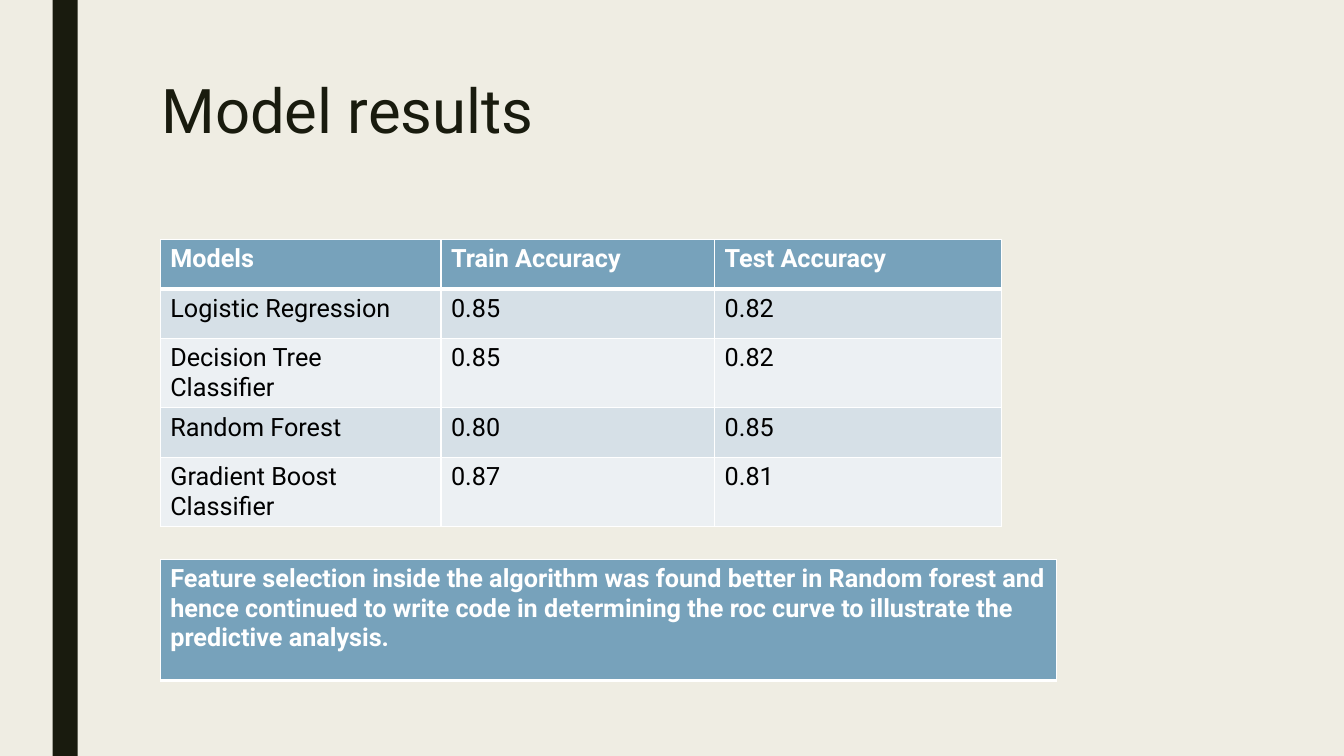
"""Build the model results slide with an accuracy table and a conclusion band."""
from dataclasses import dataclass

from lxml import etree
from pptx import Presentation
from pptx.dml.color import RGBColor
from pptx.enum.shapes import MSO_SHAPE
from pptx.enum.text import MSO_ANCHOR, MSO_AUTO_SIZE, PP_ALIGN
from pptx.oxml.ns import qn
from pptx.util import Pt

RECTANGLE = MSO_SHAPE.RECTANGLE
TOP = MSO_ANCHOR.TOP
NO_AUTOFIT = MSO_AUTO_SIZE.NONE
LEFT = PP_ALIGN.LEFT
TITLE_ONLY = 5


@dataclass(frozen=True)
class Theme:
    font: str = "Roboto"
    background: str = "EFEDE3"
    ink: str = "191B0E"
    accent: str = "77A2BB"
    bands: tuple[str, str] = ("D6E0E7", "ECF0F3")
    light: str = "FFFFFF"
    dark: str = "000000"
    title_size: float = 44
    table_size: float = 18
    thin: float = 1
    thick: float = 3


@dataclass(frozen=True)
class TableBlock:
    left: float
    top: float
    columns: tuple[float, ...]
    row_height: float
    rows: tuple[tuple[str, ...], ...]


THEME = Theme()
ACCURACY = TableBlock(
    114.5, 171, (200.5, 195.5, 205), 35.4,
    (
        ("Models", "Train Accuracy", "Test Accuracy"),
        ("Logistic Regression", "0.85", "0.82"),
        ("Decision Tree Classifier", "0.85", "0.82"),
        ("Random Forest", "0.80", "0.85"),
        ("Gradient Boost Classifier", "0.87", "0.81"),
    ),
)
CONCLUSION = TableBlock(
    114.5, 399.6, (640,), 86.4,
    ((
        "Feature selection inside the algorithm was found better in Random "
        "forest and hence continued to write code in determining the roc "
        "curve to illustrate the predictive analysis.",
    ),),
)


def add_span(para, text: str, size: float, color: str, bold: bool = False) -> None:
    span = para.add_run()
    span.text = text
    span.font.name = THEME.font
    span.font.size = Pt(size)
    span.font.bold = bold
    span.font.color.rgb = RGBColor.from_string(color)


def set_borders(cell, row_index: int) -> None:
    widths = {
        "a:lnL": THEME.thin,
        "a:lnR": THEME.thin,
        "a:lnT": THEME.thick if row_index == 1 else THEME.thin,
        "a:lnB": THEME.thick if row_index == 0 else THEME.thin,
    }
    properties = cell._tc.get_or_add_tcPr()
    for tag, width in widths.items():
        line = etree.SubElement(properties, qn(tag), w=str(Pt(width)))
        fill = etree.SubElement(line, qn("a:solidFill"))
        etree.SubElement(fill, qn("a:srgbClr"), val=THEME.light)


def add_table(page, block: TableBlock) -> None:
    frame = page.shapes.add_table(
        len(block.rows), len(block.columns), Pt(block.left), Pt(block.top),
        Pt(sum(block.columns)), Pt(block.row_height * len(block.rows)),
    )
    table = frame.table
    for column, width in zip(table.columns, block.columns):
        column.width = Pt(width)
    for row_index, texts in enumerate(block.rows):
        table.rows[row_index].height = Pt(block.row_height)
        is_header = row_index == 0
        fill = THEME.accent if is_header else THEME.bands[(row_index - 1) % 2]
        color = THEME.light if is_header else THEME.dark
        for column_index, text in enumerate(texts):
            cell = table.cell(row_index, column_index)
            set_borders(cell, row_index)
            cell.fill.solid()
            cell.fill.fore_color.rgb = RGBColor.from_string(fill)
            add_span(cell.text_frame.paragraphs[0], text, THEME.table_size, color, is_header)


def add_side_bar(page, height: int) -> None:
    bar = page.shapes.add_shape(RECTANGLE, Pt(37.5), Pt(0), Pt(18), height)
    bar.shadow.inherit = False
    bar.fill.solid()
    bar.fill.fore_color.rgb = RGBColor.from_string(THEME.ink)
    bar.line.fill.background()


def set_title(page, text: str) -> None:
    title = page.shapes.title
    title.left, title.top, title.width, title.height = Pt(108), Pt(54), Pt(756), Pt(116.6)
    box = title.text_frame
    box.word_wrap = True
    box.auto_size = NO_AUTOFIT
    box.vertical_anchor = TOP
    para = box.paragraphs[0]
    para.alignment = LEFT
    para.line_spacing = 0.89
    add_span(para, text, THEME.title_size, THEME.ink)


def main() -> None:
    deck = Presentation()
    deck.slide_width, deck.slide_height = Pt(960), Pt(540)
    page = deck.slides.add_slide(deck.slide_layouts[TITLE_ONLY])
    page.background.fill.solid()
    page.background.fill.fore_color.rgb = RGBColor.from_string(THEME.background)
    add_side_bar(page, deck.slide_height)
    set_title(page, "Model results")
    for block in (ACCURACY, CONCLUSION):
        add_table(page, block)
    deck.save("out.pptx")


if __name__ == "__main__":
    main()
